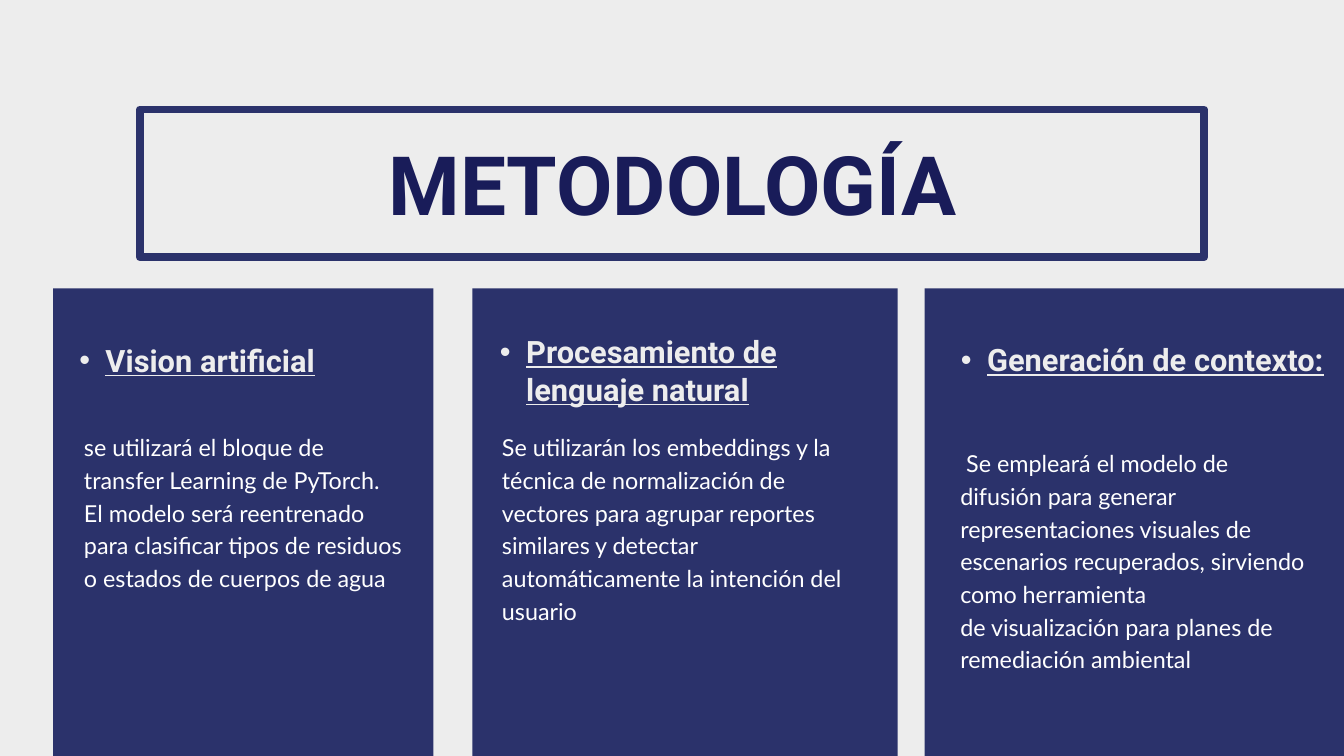
import pptx
import pptx.util
import pptx.dml.color
import pptx.enum.shapes
import pptx.enum.text
from lxml import etree
from pptx.oxml.ns import qn
from pptx.util import Inches

COLORS = {"background": "EDEDED", "navy": "2B326B", "title": "191C59", "white": "FFFFFF"}

TITLE = "METODOLOGÍA"
PANEL_TOP, PANEL_HEIGHT = 4.29, 12.76

# Boxes are (left, top, width, height) in inches; panels are (left, width).
COLUMNS = [
    {
        "panel": (0.79, 5.66),
        "heading": "Vision artificial",
        "heading_box": (0.79, 5.07, 6.37, 0.56),
        "body": ["se utilizará el bloque de transfer Learning de PyTorch. El modelo será "
                 "reentrenado para clasificar tipos de residuos o estados de cuerpos de agua"],
        "body_box": (1.25, 6.38, 4.74, 3.34),
    },
    {
        "panel": (7.03, 6.33),
        "heading": "Procesamiento de lenguaje natural",
        "heading_box": (7.05, 4.94, 6.31, 1.12),
        "body": ["Se utilizarán los embeddings y la técnica de normalización de vectores para "
                 "agrupar reportes similares y detectar automáticamente la intención del usuario"],
        "body_box": (7.47, 6.38, 5.27, 2.86),
    },
    {
        "panel": (13.76, 6.33),
        "heading": "Generación de contexto:",
        "heading_box": (13.91, 5.06, 6.31, 1.12),
        "body": [" Se empleará el modelo de difusión para generar",
                 "representaciones visuales de escenarios recuperados, sirviendo como herramienta",
                 "de visualización para planes de remediación ambiental"],
        "body_box": (14.29, 6.62, 5.27, 3.34),
    },
]


def rgb(name):
    return pptx.dml.color.RGBColor.from_string(COLORS[name])


def add_rectangle(slide, box, fill=None, line=None, line_width=0):
    shape = slide.shapes.add_shape(
        pptx.enum.shapes.MSO_SHAPE.RECTANGLE, *map(Inches, box))
    shape.shadow.inherit = False
    if fill:
        shape.fill.solid()
        shape.fill.fore_color.rgb = rgb(fill)
    else:
        shape.fill.background()
    if line:
        shape.line.color.rgb = rgb(line)
        shape.line.width = pptx.util.Pt(line_width)
    else:
        shape.line.fill.background()


def add_bullet(paragraph):
    paragraph.level = 1
    properties = paragraph._p.get_or_add_pPr()
    properties.set("marL", str(Inches(0.78)))
    properties.set("indent", str(Inches(-0.39)))
    etree.SubElement(properties, qn("a:buFont")).set("typeface", "Arial")
    etree.SubElement(properties, qn("a:buChar")).set("char", "•")


def add_text(slide, box, lines, font, size, color, spacing,
             bold=False, underline=False, bullet=False, centered=False):
    text_frame = slide.shapes.add_textbox(*map(Inches, box)).text_frame
    text_frame.word_wrap = True
    text_frame.margin_left = text_frame.margin_right = 0
    text_frame.margin_top = text_frame.margin_bottom = 0
    text_frame.text = "\n".join(lines)
    alignment = pptx.enum.text.PP_ALIGN
    for paragraph in text_frame.paragraphs:
        paragraph.alignment = alignment.CENTER if centered else alignment.LEFT
        paragraph.line_spacing = pptx.util.Pt(spacing)
        if bullet:
            add_bullet(paragraph)
        for run in paragraph.runs:
            run.font.name = font
            run.font.size = pptx.util.Pt(size)
            run.font.bold = bold
            run.font.underline = underline
            run.font.color.rgb = rgb(color)


def main():
    presentation = pptx.Presentation()
    presentation.slide_width = Inches(20)
    presentation.slide_height = Inches(11.25)
    slide = presentation.slides.add_slide(presentation.slide_layouts[6])
    slide.background.fill.solid()
    slide.background.fill.fore_color.rgb = rgb("background")

    add_rectangle(slide, (2.08, 1.63, 15.84, 2.2), line="navy", line_width=8.25)
    add_text(slide, (2.09, 1.96, 15.84, 1.47), [TITLE], "Roboto", 87.7, "title", 107.9,
             bold=True, centered=True)

    for column in COLUMNS:
        left, width = column["panel"]
        add_rectangle(slide, (left, PANEL_TOP, width, PANEL_HEIGHT), fill="navy")
        add_text(slide, column["body_box"], column["body"], "Lato", 25, "white", 35)
        add_text(slide, column["heading_box"], [column["heading"]], "Roboto", 33,
                 "background", 40.6, bold=True, underline=True, bullet=True)

    presentation.save("out.pptx")


if __name__ == "__main__":
    main()
